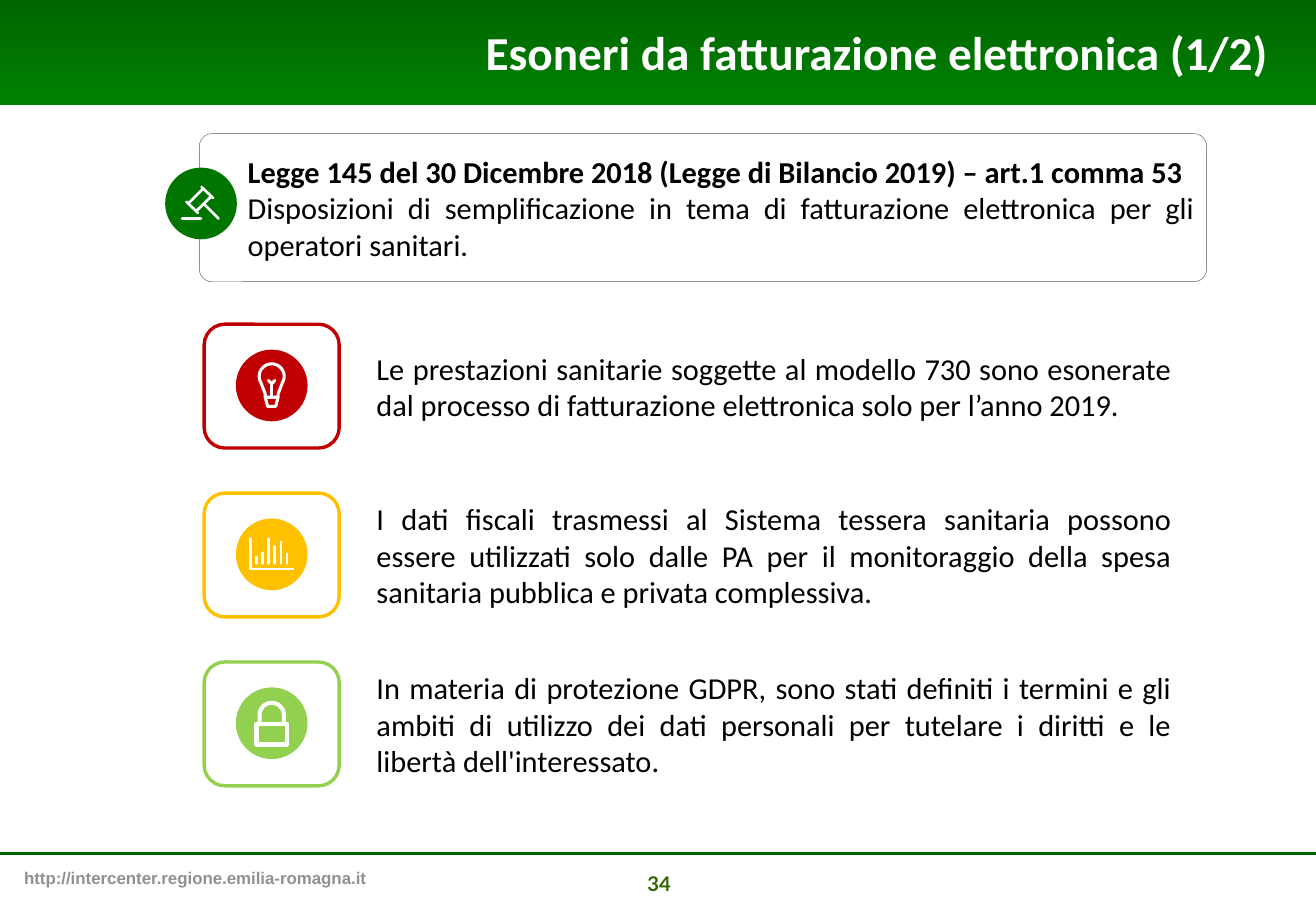
import math

import pptx
import pptx.dml.color
import pptx.enum.shapes
import pptx.enum.text
import pptx.oxml
import pptx.util

Pt = pptx.util.Pt
SHAPE = pptx.enum.shapes.MSO_SHAPE
ALIGN = pptx.enum.text.PP_ALIGN
ANCHOR = pptx.enum.text.MSO_ANCHOR

SLIDE_W, SLIDE_H = 779.76, 540
DISC = 42.5
COLORS = {
    "dark_green": "006600", "green": "008000", "law": "007500", "number": "336600",
    "red": "C00000", "amber": "FFC000", "lime": "92D050",
    "white": "FFFFFF", "black": "000000", "gray": "919191", "border": "595959",
}


def arc(cx, cy, radius, start, end, steps=24):
    """Points on a circle, angles in degrees clockwise from the right."""
    angles = [math.radians(start + (end - start) * i / steps) for i in range(steps + 1)]
    return [(cx + radius * math.cos(a), cy + radius * math.sin(a)) for a in angles]


# Icon strokes, in points from the centre of the disc
BAR_TOPS = [1.5, -1, -9.4, -4.7, -7.5, -0.4]
ICONS = {
    "gavel": [
        [(-11.2, 9), (0, 9)],
        [(2.2, 0.7), (10.4, 9)],
        [(-8.6, -1), (-1.8, 5.6)],
        [(0.4, -9.7), (7.2, -3.2)],
        [(-7.4, 0), (1.2, -8.6)],
        [(-2.6, 4.4), (6, -4)],
    ],
    "bulb": [
        [(-3.8, 7), (-3.8, 5), *arc(0, -5.4, 7.4, 150, 390), (3.8, 5), (3.8, 7),
         (2.4, 12.4), (-2.4, 12.4), (-3.8, 7), (3.8, 7)],
        [(-1.9, -3), (0, -1), (1.9, -3)],
        [(0, -1), (0, 7)],
    ],
    "chart": [
        [(-12.6, -9.4), (-12.6, 8.6), (12.6, 8.6)],
        *[[(-9 + 3.6 * i, top), (-9 + 3.6 * i, 5.4)] for i, top in enumerate(BAR_TOPS)],
    ],
    "lock": [
        [(-9, 0.4), (9, 0.4), (9, 12.6), (-9, 12.6), (-9, 0.4)],
        [(-7.2, 0.4), *arc(0, -4.9, 7.2, 180, 360), (7.2, 0.4)],
    ],
}

# Text, icon, colour, stroke width
POINTS = [
    ("Le prestazioni sanitarie soggette al modello 730 sono esonerate dal processo di "
     "fatturazione elettronica solo per l’anno 2019.", "bulb", "red", 1.8),
    ("I dati fiscali trasmessi al Sistema tessera sanitaria possono essere utilizzati solo "
     "dalle PA per il monitoraggio della spesa sanitaria pubblica e privata complessiva.",
     "chart", "amber", 1.5),
    ("In materia di protezione GDPR, sono stati definiti i termini e gli ambiti di utilizzo "
     "dei dati personali per tutelare i diritti e le libertà dell'interessato.",
     "lock", "lime", 2.4),
]


def rgb(name):
    return pptx.dml.color.RGBColor.from_string(COLORS[name])


def add_box(slide, kind, x, y, w, h, fill=None, line=None, width=1):
    sp = slide.shapes.add_shape(kind, Pt(x), Pt(y), Pt(w), Pt(h))
    sp.shadow.inherit = False
    if fill:
        sp.fill.solid()
        sp.fill.fore_color.rgb = rgb(fill)
    else:
        sp.fill.background()
    if line:
        sp.line.color.rgb = rgb(line)
        sp.line.width = Pt(width)
    else:
        sp.line.fill.background()
    return sp


def style(p, size, color, bold=False, font="Calibri", align=ALIGN.JUSTIFY):
    p.alignment = align
    p.font.name = font
    p.font.size = Pt(size)
    p.font.bold = bold
    p.font.color.rgb = rgb(color)


def add_text(slide, text, x, y, w, h, anchor=ANCHOR.TOP):
    tf = slide.shapes.add_textbox(Pt(x), Pt(y), Pt(w), Pt(h)).text_frame
    tf.word_wrap = True
    tf.vertical_anchor = anchor
    tf.text = text
    return tf.paragraphs


def add_icon(slide, name, color, cx, cy, stroke):
    add_box(slide, SHAPE.OVAL, cx - DISC / 2, cy - DISC / 2, DISC, DISC, color)
    strokes = [[(Pt(cx + x), Pt(cy + y)) for x, y in points] for points in ICONS[name]]
    builder = slide.shapes.build_freeform(*strokes[0][0])
    for points in strokes:
        builder.move_to(*points[0])
        builder.add_line_segments(points[1:], close=False)
    sp = builder.convert_to_shape()
    sp.shadow.inherit = False
    sp.fill.background()
    sp.line.color.rgb = rgb("white")
    sp.line.width = Pt(stroke)
    sp.line._get_or_add_ln().set("cap", "rnd")


def add_header(slide, w, h):
    band = add_box(slide, SHAPE.RECTANGLE, 0, 0, w, h, "green")
    band.fill.gradient()
    band.fill.gradient_angle = 270
    for stop, position, color in zip(band.fill.gradient_stops, (0, 1), ("dark_green", "green")):
        stop.position = position
        stop.color.rgb = rgb(color)
    title = slide.shapes.title
    title.left, title.top, title.width, title.height = Pt(108), Pt(10), Pt(650), Pt(41)
    tf = title.text_frame
    tf.text = "Esoneri da fatturazione elettronica (1/2)"
    tf.vertical_anchor = ANCHOR.MIDDLE
    style(tf.paragraphs[0], 28, "white", True, align=ALIGN.RIGHT)
    # Bring the title in front of the band
    band._element.addnext(title._element)


def add_footer(slide, y, w):
    rule = slide.shapes.add_connector(
        pptx.enum.shapes.MSO_CONNECTOR.STRAIGHT, 0, Pt(y), Pt(w), Pt(y))
    rule.line.color.rgb = rgb("dark_green")
    rule.line.width = Pt(1.75)
    rule._element.spPr.append(pptx.oxml.parse_xml(
        '<a:effectLst xmlns:a="http://schemas.openxmlformats.org/drawingml/2006/main"/>'))
    url, = add_text(slide, "http://intercenter.regione.emilia-romagna.it", 7.2, y + 4.4, 274, 19.4)
    style(url, 10, "gray", True, "Arial", ALIGN.LEFT)
    number, = add_text(slide, "34", 309.6, y + 6.5, 162, 19.4)
    style(number, 12, "number", True, "Lato", ALIGN.CENTER)


def add_law(slide, x, y, w, h):
    box = add_box(slide, SHAPE.ROUNDED_RECTANGLE, x, y, w, h, "white", "border", 0.25)
    box.adjustments[0] = 0.086
    law, summary = add_text(
        slide,
        "Legge 145 del 30 Dicembre 2018 (Legge di Bilancio 2019) – art.1 comma 53\n"
        "Disposizioni di semplificazione in tema di fatturazione elettronica per gli "
        "operatori sanitari.",
        x + 21.6, y, w - 21.6, h, ANCHOR.MIDDLE)
    style(law, 18, "black", True)
    style(summary, 18, "black")
    add_icon(slide, "gavel", "law", x + 1, y + 41.4, 1.6)


def add_point(slide, x, y, h, text, icon, color, stroke):
    card_w = 80
    add_box(slide, SHAPE.ROUNDED_RECTANGLE, x, y, card_w, h, line=color, width=2)
    add_icon(slide, icon, color, x + card_w / 2, y + h / 2 - 0.4, stroke)
    p, = add_text(slide, text, x + 95, y, 485.3, h, ANCHOR.MIDDLE)
    style(p, 18, "black")


def main():
    prs = pptx.Presentation()
    prs.slide_width, prs.slide_height = Pt(SLIDE_W), Pt(SLIDE_H)
    slide = prs.slides.add_slide(prs.slide_layouts[5])
    add_header(slide, SLIDE_W, 62.6)
    add_footer(slide, 506.2, SLIDE_W)
    add_law(slide, 118.1, 79.2, 596.9, 87.8)
    for i, point in enumerate(POINTS):
        add_point(slide, 121, 192.2 + 100.1 * i, 73.4, *point)
    prs.save("out.pptx")


if __name__ == "__main__":
    main()
